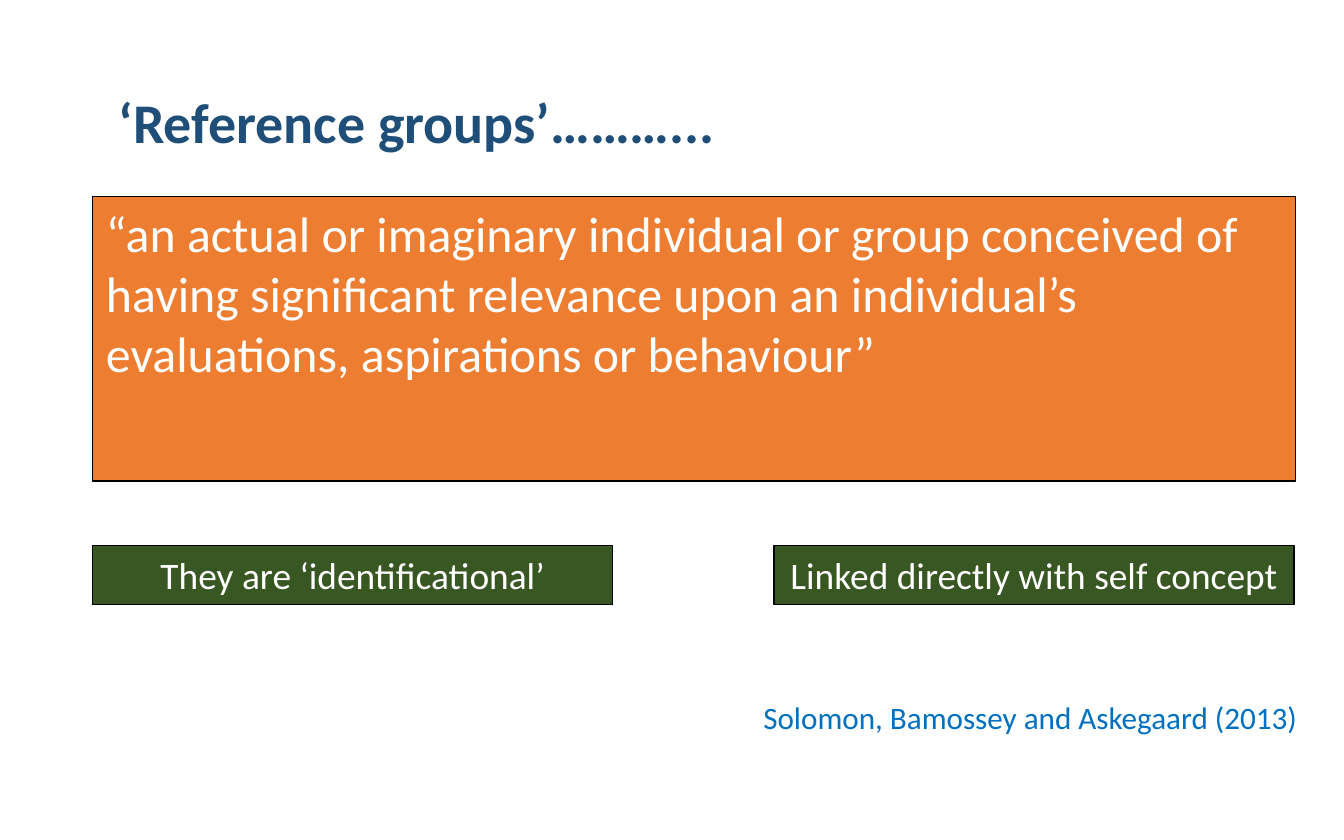
from dataclasses import dataclass
from typing import Optional

from pptx import Presentation
from pptx.dml.color import RGBColor
from pptx.enum.shapes import MSO_SHAPE
from pptx.enum.text import MSO_ANCHOR, PP_ALIGN
from pptx.slide import Slide
from pptx.util import Pt

WHITE = RGBColor(0xFF, 0xFF, 0xFF)
BLACK = RGBColor(0x00, 0x00, 0x00)
NAVY = RGBColor(0x1F, 0x4E, 0x79)
BLUE = RGBColor(0x00, 0x70, 0xC0)
ORANGE = RGBColor(0xED, 0x7D, 0x31)
GREEN = RGBColor(0x38, 0x57, 0x23)

FONT = "Calibri"
LEFT = 49.7
QUOTE_WIDTH = 644.4
TRAIT_WIDTH = 278.6
TRAIT_TOP = 292.3
TRAIT_STEP = 365


@dataclass(frozen=True)
class TextBlock:
    """A block of text, framed when it has a fill; lengths are in points."""
    text: str
    left: float
    top: float
    width: float
    height: float
    size: float
    color: RGBColor = WHITE
    fill: Optional[RGBColor] = None
    bold: bool = False
    alignment: PP_ALIGN = PP_ALIGN.LEFT
    anchor: MSO_ANCHOR = MSO_ANCHOR.TOP
    line_spacing: float = 1.0


TRAITS = ("They are ‘identificational’", "Linked directly with self concept")

BLOCKS = [
    TextBlock(" ‘Reference groups’………...", LEFT, 23.8, 620.6, 87.1, 30, NAVY,
              bold=True, anchor=MSO_ANCHOR.MIDDLE, line_spacing=0.9),
    TextBlock("“an actual or imaginary individual or group conceived of having "
              "significant relevance upon an individual’s evaluations, "
              "aspirations or behaviour”",
              LEFT, 105.1, QUOTE_WIDTH, 152.6, 26.7, fill=ORANGE),
    TextBlock("Solomon, Bamossey and Askegaard (2013)",
              401.8, 370.8, 303.8, 64.1, 16.7, BLUE),
    *(TextBlock(trait, LEFT + index * TRAIT_STEP, TRAIT_TOP, TRAIT_WIDTH, 31.7,
                20, fill=GREEN, alignment=PP_ALIGN.CENTER)
      for index, trait in enumerate(TRAITS)),
]


def add_block(slide: Slide, block: TextBlock) -> None:
    bounds = (Pt(block.left), Pt(block.top), Pt(block.width), Pt(block.height))
    if block.fill is None:
        shape = slide.shapes.add_textbox(*bounds)
    else:
        shape = slide.shapes.add_shape(MSO_SHAPE.RECTANGLE, *bounds)
        shape.shadow.inherit = False
        shape.fill.solid()
        shape.fill.fore_color.rgb = block.fill
        shape.line.color.rgb = BLACK
        shape.line.width = Pt(0.75)

    frame = shape.text_frame
    frame.word_wrap = True
    frame.vertical_anchor = block.anchor
    paragraph = frame.paragraphs[0]
    paragraph.alignment = block.alignment
    paragraph.line_spacing = block.line_spacing
    run = paragraph.add_run()
    run.text = block.text
    run.font.name = FONT
    run.font.size = Pt(block.size)
    run.font.bold = block.bold
    run.font.color.rgb = block.color


def main() -> None:
    presentation = Presentation()
    presentation.slide_width = Pt(720)
    presentation.slide_height = Pt(450)
    slide = presentation.slides.add_slide(presentation.slide_layouts[6])
    for block in BLOCKS:
        add_block(slide, block)
    presentation.save("out.pptx")


if __name__ == "__main__":
    main()
